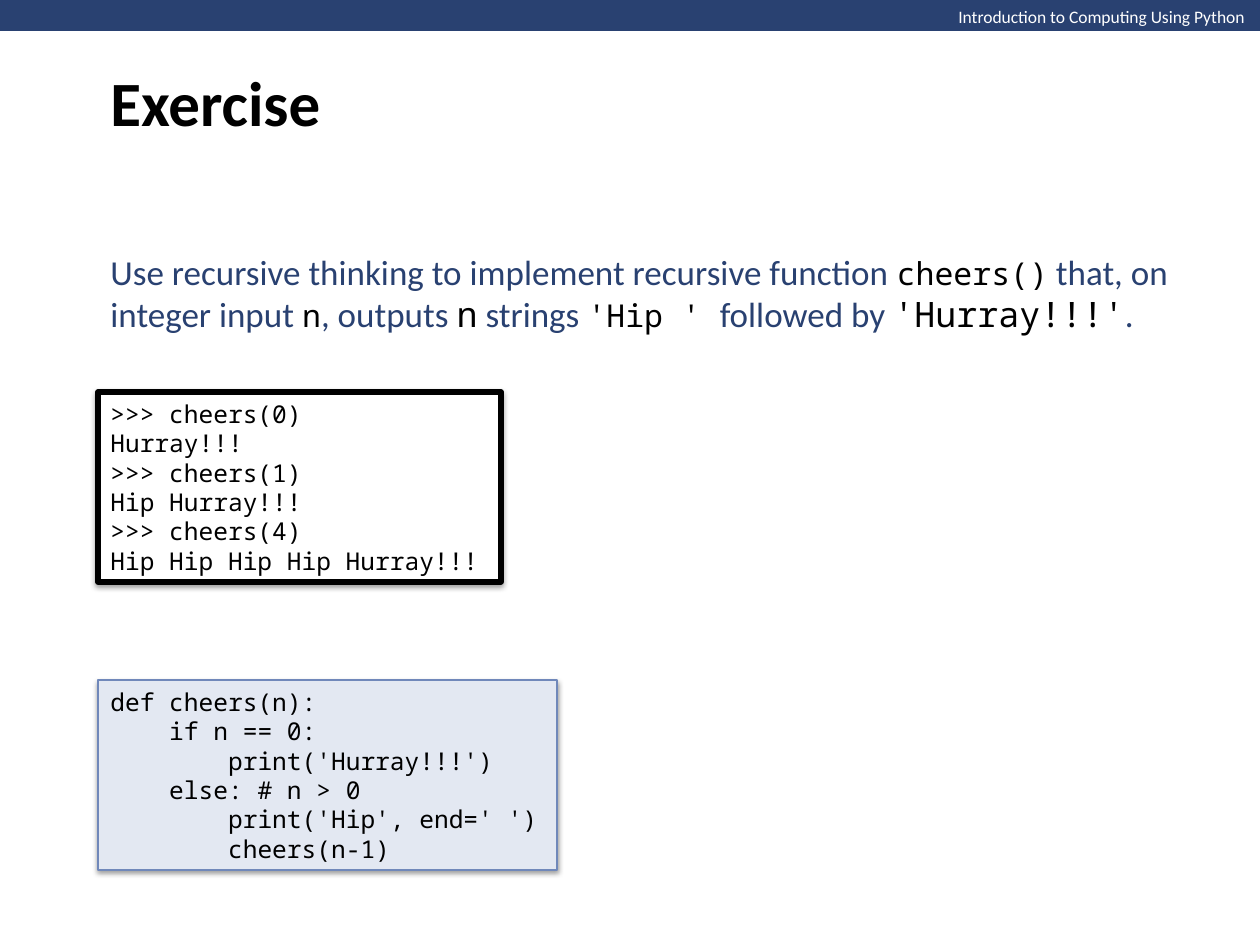
import lxml.etree
import pptx
import pptx.dml.color
import pptx.enum.shapes
import pptx.enum.text
import pptx.oxml
import pptx.oxml.ns
import pptx.util

RGBColor = pptx.dml.color.RGBColor
NAVY = RGBColor(0x29, 0x41, 0x71)
WHITE = RGBColor(0xFF, 0xFF, 0xFF)
BLACK = RGBColor(0, 0, 0)
PALE_BLUE = RGBColor(0xE3, 0xE8, 0xF2)
EDGE_BLUE = RGBColor(0x70, 0x88, 0xBA)
SANS, MONO = "Calibri", "Noto Sans Mono"
RECT = pptx.enum.shapes.MSO_SHAPE.RECTANGLE
MIDDLE = pptx.enum.text.MSO_ANCHOR.MIDDLE
LEFT = 98
SHADOW = (
    '<a:effectLst %s><a:outerShdw blurRad="39370" dist="20320" dir="5400000" rotWithShape="0">'
    '<a:srgbClr val="000000"><a:alpha val="38000"/></a:srgbClr></a:outerShdw></a:effectLst>'
    % pptx.oxml.ns.nsdecls("a")
)


def px(*lengths):
    """Turn pixels, 126 to the inch, into EMU lengths."""
    return [pptx.util.Emu(round(n * 914400 / 126)) for n in lengths]


def style(font, name, size, color, bold=False):
    """Set face, size, colour and weight of a font."""
    font.name, font.size, font.bold = name, pptx.util.Pt(size), bold
    font.color.rgb = color


prs = pptx.Presentation()
prs.slide_width, prs.slide_height = px(1260, 945)
shapes = prs.slides.add_slide(prs.slide_layouts[6]).shapes

# Header band
band = shapes.add_shape(RECT, *px(0, 0, 1261, 31))
band.shadow.inherit = False
band.fill.solid()
band.fill.fore_color.rgb = NAVY
band.line.fill.background()

# Course name and title
for text, box, size, color, bold, anchor, wrap in [
    ("Introduction to Computing Using Python", (946, 0, 315, 34), 10, WHITE, False,
     pptx.enum.text.MSO_ANCHOR.TOP, False),
    ("Exercise", (LEFT, 0, 1071, 203), 36, BLACK, True, MIDDLE, True),
]:
    tf = shapes.add_textbox(*px(*box)).text_frame
    tf.word_wrap, tf.vertical_anchor = wrap, anchor
    p = tf.paragraphs[0]
    p.text = text
    style(p.font, SANS, size, color, bold)

# Task: prose in navy, code in black
tf = shapes.add_textbox(*px(LEFT, 244, 1110, 97)).text_frame
tf.word_wrap, tf.vertical_anchor = True, MIDDLE
for text, name, size in [
    ("Use recursive thinking to implement recursive function ", SANS, 20),
    ("cheers()", MONO, 18),
    (" that, on integer input ", SANS, 20),
    ("n", MONO, 18),
    (", outputs ", SANS, 20),
    ("n", MONO, 20),
    (" strings ", SANS, 20),
    ("'Hip ' ", MONO, 18),
    ("followed by ", SANS, 20),
    ("'Hurray!!!'", MONO, 20),
    (".", SANS, 20),
]:
    r = tf.paragraphs[0].add_run()
    r.text = text
    style(r.font, name, size, NAVY if name == SANS else BLACK)

# Solution and sample session
solution = """def cheers(n):
    if n == 0:
        print('Hurray!!!')
    else: # n > 0
        print('Hip', end=' ')
        cheers(n-1)"""
session = """>>> cheers(0)
Hurray!!!
>>> cheers(1)
Hip Hurray!!!
>>> cheers(4)
Hip Hip Hip Hip Hurray!!!"""
for code, top, width, fill, edge, weight in [
    (solution, 680, 459, PALE_BLUE, EDGE_BLUE, 0.75),
    (session, 392, 403, WHITE, BLACK, 3),
]:
    s = shapes.add_shape(RECT, *px(LEFT, top, width, 190))
    s.fill.solid()
    s.fill.fore_color.rgb = fill
    s.line.color.rgb = edge
    s.line.width = pptx.util.Pt(weight)
    s._element.spPr.append(pptx.oxml.parse_xml(SHADOW))
    tf = s.text_frame
    tf.word_wrap, tf.vertical_anchor = True, MIDDLE
    tf.text = code
    for p in tf.paragraphs:
        p.alignment = pptx.enum.text.PP_ALIGN.LEFT
        style(p.font, MONO, 14, BLACK)

prs.save("out.pptx")
